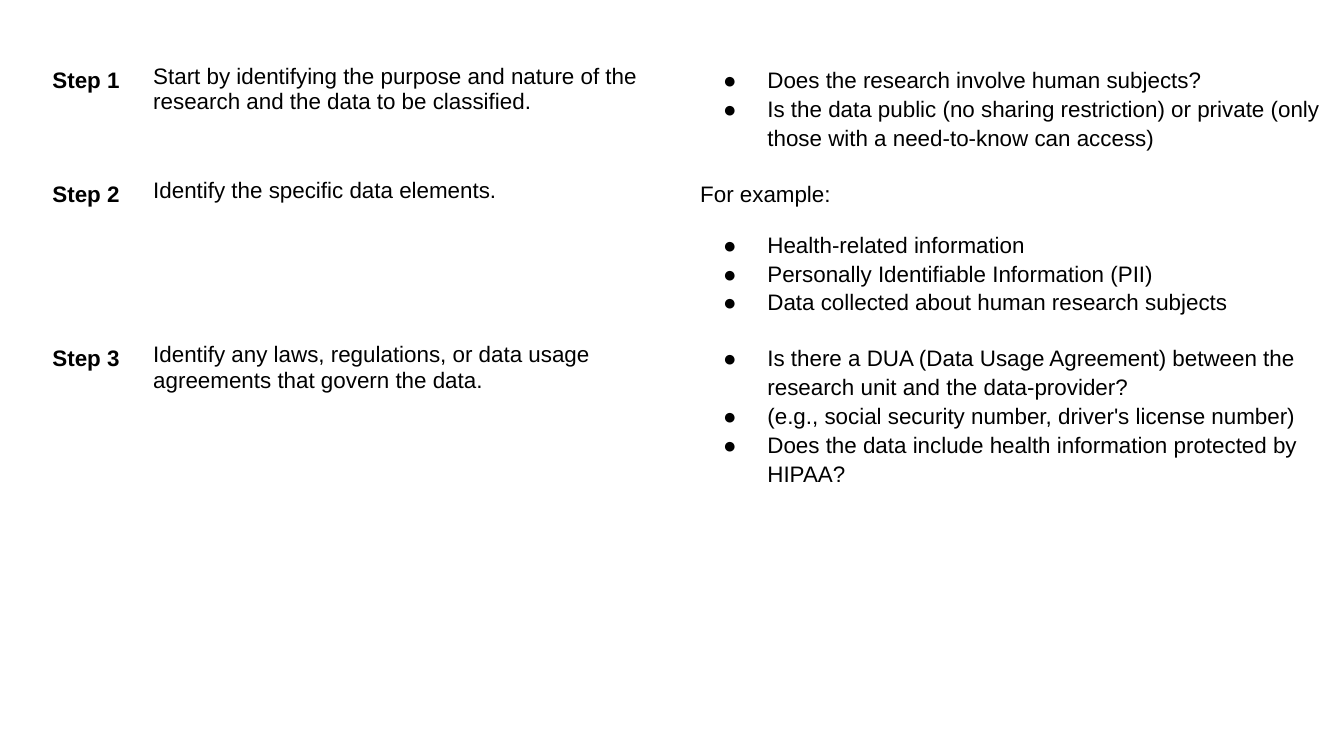
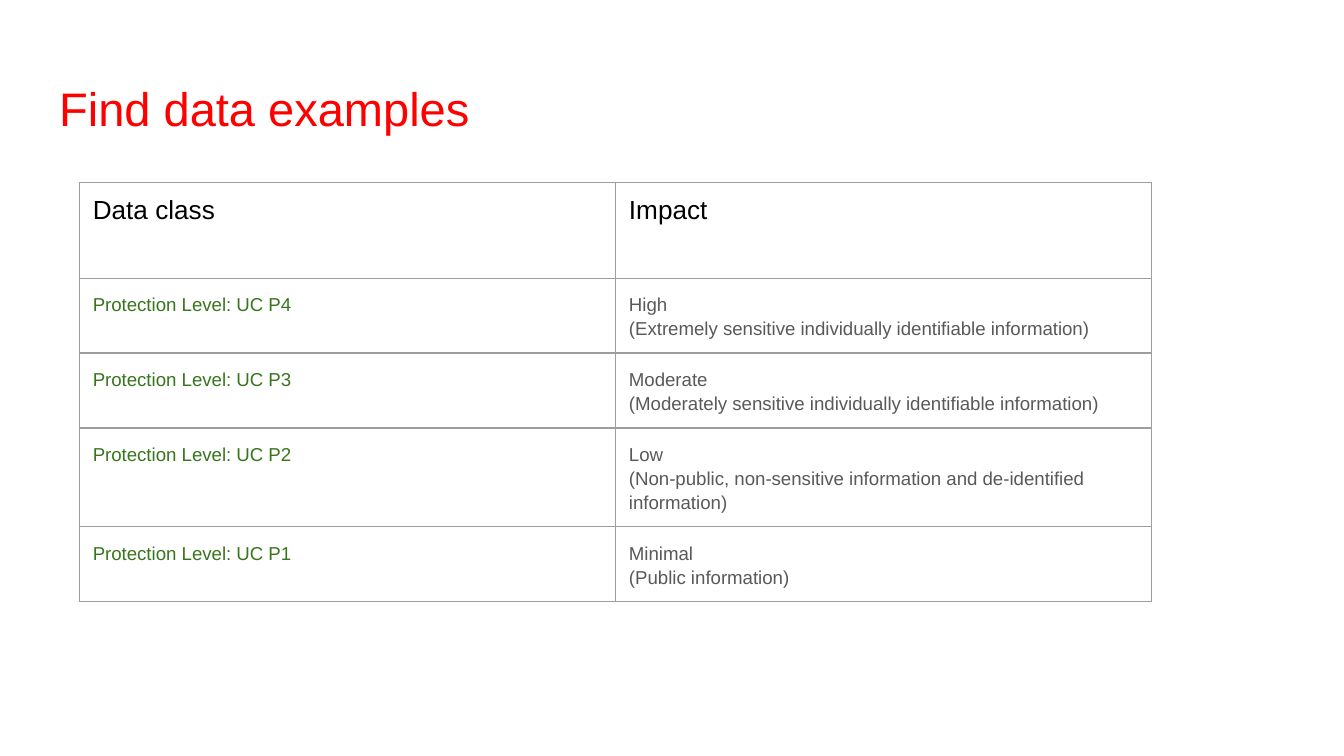
import pptx
import pptx.util
import pptx.dml.color
import pptx.enum.text
import pptx.oxml
import pptx.oxml.ns
from dataclasses import dataclass

STEPS = [
    ("Step 1",
     "Start by identifying the purpose and nature of the research and the data to be classified.",
     "",
     ["Does the research involve human subjects?",
      "Is the data public (no sharing restriction) or private (only those with a need-to-know can access)"]),
    ("Step 2",
     "Identify the specific data elements.",
     "For example:",
     ["Health-related information",
      "Personally Identifiable Information (PII)",
      "Data collected about human research subjects"]),
    ("Step 3",
     "Identify any laws, regulations, or data usage agreements that govern the data.",
     "",
     ["Is there a DUA (Data Usage Agreement) between the research unit and the data-provider?",
      "(e.g., social security number, driver's license number)",
      "Does the data include health information protected by HIPAA?"]),
]
TITLE = "Find data examples"
HEADS = ["Data class", "Impact"]
LEVELS = [
    ("Protection Level: UC P4", "High", "(Extremely sensitive individually identifiable information)"),
    ("Protection Level: UC P3", "Moderate", "(Moderately sensitive individually identifiable information)"),
    ("Protection Level: UC P2", "Low", "(Non-public, non-sensitive information and de-identified information)"),
    ("Protection Level: UC P1", "Minimal", "(Public information)"),
]


@dataclass(frozen=True)
class Theme:
    font: str = "Arial"
    ink: str = "000000"
    title: str = "FF0000"
    level: str = "38761D"
    note: str = "595959"
    rule: str = "9E9E9E"
    big: float = 25.2
    head: float = 14
    body: float = 12
    small: float = 10
    lead: float = 1.15
    gap: float = 12
    pad: float = 0.1


LOOK = Theme()
WIDE = 10
HIGH = WIDE * 9 / 16
Inch, Pt = pptx.util.Inches, pptx.util.Pt
ALIGN = pptx.enum.text.PP_ALIGN


def style(para, size, color=LOOK.ink, bold=False, lead=LOOK.lead, align=ALIGN.LEFT):
    para.alignment = align
    para.line_spacing = lead
    for run in para.runs:
        font = run.font
        font.name, font.size, font.bold = LOOK.font, Pt(size), bold
        font.color.rgb = pptx.dml.color.RGBColor.from_string(color)


def bullet(para):
    props = para._p.get_or_add_pPr()
    props.set("marL", str(Inch(0.5)))
    props.set("indent", str(Inch(-0.33)))
    space = pptx.oxml.ns.nsdecls("a")
    for xml in (f'<a:buClr {space}><a:srgbClr val="{LOOK.ink}"/></a:buClr>',
                f'<a:buFont {space} typeface="{LOOK.font}"/>',
                f'<a:buChar {space} char="●"/>'):
        props.append(pptx.oxml.parse_xml(xml))


def border(cell):
    props = cell._tc.get_or_add_tcPr()
    space = pptx.oxml.ns.nsdecls("a")
    for side in "LRTB":
        props.append(pptx.oxml.parse_xml(
            f'<a:ln{side} {space} w="{Pt(0.75)}"><a:solidFill>'
            f'<a:srgbClr val="{LOOK.rule}"/></a:solidFill></a:ln{side}>'))


def grid(slide, left, top, cols, rows, lines=False):
    table = slide.shapes.add_table(
        len(rows), len(cols), Inch(left), Inch(top), Inch(sum(cols)), Inch(sum(rows))).table
    table.first_row = table.horz_banding = False
    for col, width in zip(table.columns, cols):
        col.width = Inch(width)
    for row, height in zip(table.rows, rows):
        row.height = Inch(height)
    for cell in table.iter_cells():
        if lines:
            border(cell)
        cell.fill.background()
        cell.margin_left = cell.margin_right = Inch(LOOK.pad)
        cell.margin_top = cell.margin_bottom = Inch(LOOK.pad)
    return table


def write(cell, *texts):
    cell.text_frame.text = "\n".join(texts)
    return cell.text_frame.paragraphs


def steps(deck):
    slide = deck.slides.add_slide(deck.slide_layouts[6])
    table = grid(slide, 0.24, 0.38, [0.8, 4.07, 5.04], [0.78, 1.07, 1.07, 1.28])
    for row, (name, task, intro, points) in enumerate(STEPS):
        style(write(table.cell(row, 0), name)[0], LOOK.body, bold=True, align=ALIGN.CENTER)
        style(write(table.cell(row, 1), task)[0], LOOK.body, lead=1.0)
        texts = [intro, *points] if intro else points
        paras = write(table.cell(row, 2), *texts)
        for para in paras:
            style(para, LOOK.body)
        items = paras[1:] if intro else paras
        if intro:
            items[0].space_before = Pt(LOOK.gap)
        for para in items:
            bullet(para)


def levels(deck):
    slide = deck.slides.add_slide(deck.slide_layouts[5])
    title = slide.shapes.title
    side = 0.34
    title.left, title.top = Inch(side), Inch(0.49)
    title.width, title.height = Inch(WIDE - 2 * side), Inch(0.63)
    frame = title.text_frame
    frame.text = TITLE
    frame.auto_size = pptx.enum.text.MSO_AUTO_SIZE.NONE
    frame.vertical_anchor = pptx.enum.text.MSO_ANCHOR.TOP
    frame.margin_left = frame.margin_right = Inch(LOOK.pad)
    frame.margin_top = frame.margin_bottom = Inch(LOOK.pad)
    style(frame.paragraphs[0], LOOK.big, LOOK.title, lead=1.0)

    table = grid(slide, 0.59, 1.36, [3.99] * 2, [0.71, 0.47, 0.47, 0.63, 0.47], lines=True)
    for col, text in enumerate(HEADS):
        style(write(table.cell(0, col), text)[0], LOOK.head, lead=1.0)
    for row, (name, *notes) in enumerate(LEVELS, 1):
        label = write(table.cell(row, 0), name)[0]
        style(label, LOOK.small, LOOK.level)
        label.space_before = label.space_after = Pt(LOOK.gap)
        paras = write(table.cell(row, 1), *notes)
        for para in paras:
            style(para, LOOK.small, LOOK.note)
        paras[-1].space_after = Pt(LOOK.gap)


def main():
    deck = pptx.Presentation()
    deck.slide_width, deck.slide_height = Inch(WIDE), Inch(HIGH)
    steps(deck)
    levels(deck)
    deck.save("out.pptx")


if __name__ == "__main__":
    main()
